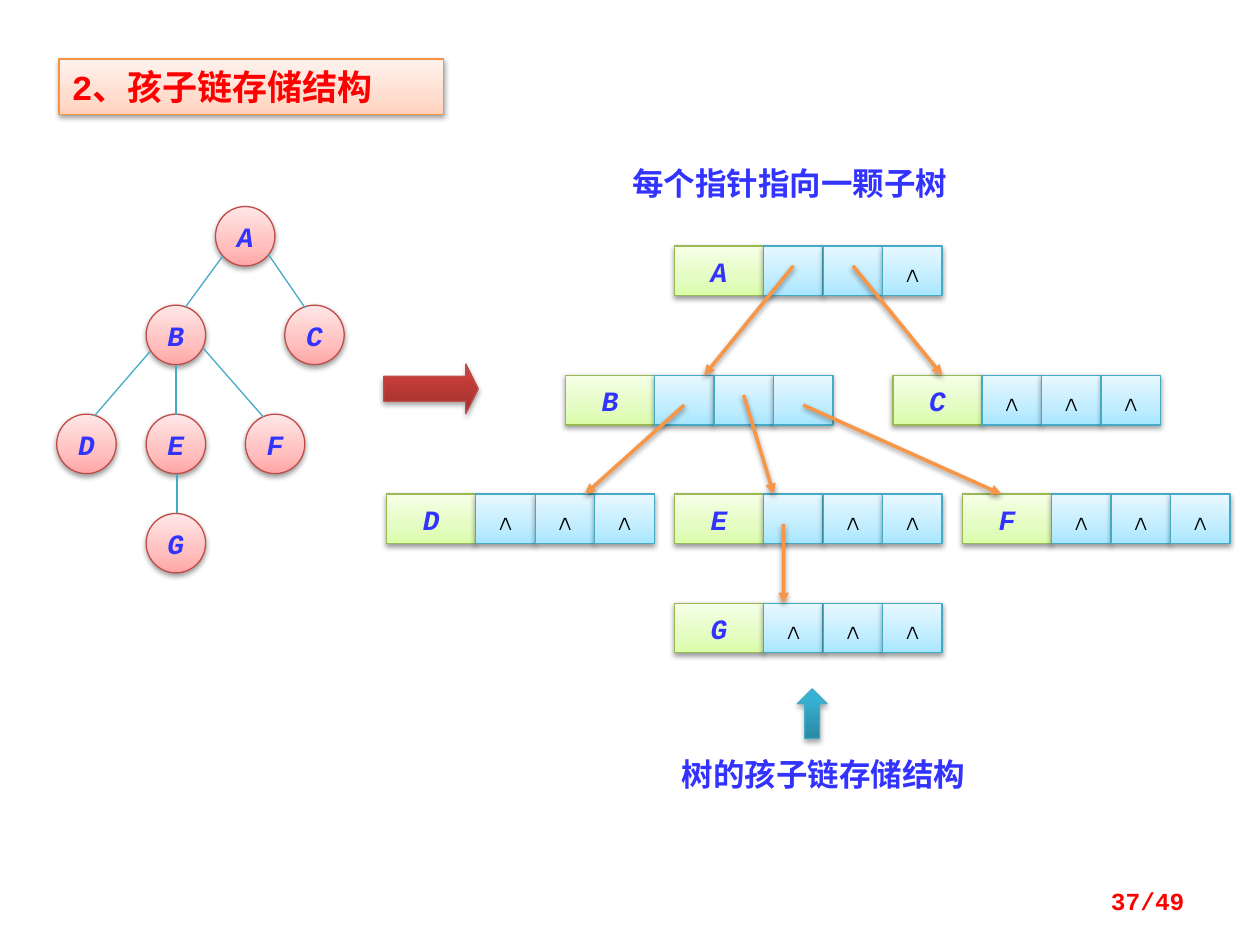
import pptx
import pptx.dml.color
import pptx.enum.shapes
import pptx.enum.text
import pptx.oxml
import pptx.oxml.ns
import pptx.util

Pt = pptx.util.Pt
RGB = pptx.dml.color.RGBColor.from_string
SHAPE = pptx.enum.shapes.MSO_SHAPE
STRAIGHT = pptx.enum.shapes.MSO_CONNECTOR.STRAIGHT
ALIGN = pptx.enum.text.PP_ALIGN
ANCHOR = pptx.enum.text.MSO_ANCHOR

BLUE, RED, BLACK = RGB("3333FF"), RGB("FF0000"), RGB("000000")
ORANGE, TEAL = RGB("F79646"), RGB("46AAC5")
LATIN, CHINESE = "Courier New", "Noto Sans CJK SC"

# Line colour, then gradient stops (percent, colour) from bottom to top
PEACH = (RGB("F69240"), [(0, "FFD2BD"), (35, "FFDED0"), (100, "FFF2ED")])
PINK = (RGB("BF4C48"), [(0, "FFA6A5"), (35, "FFC0BF"), (100, "FFE7E7")])
GREEN = (RGB("98B955"), [(0, "DAFDA7"), (35, "E4FCC2"), (100, "F5FFE7")])
SKY = (TEAL, [(0, "A7E6FF"), (35, "C1EDFF"), (100, "E7F8FF")])
CRIMSON = (RGB("BF4C48"), [(0, "9C2F2D"), (80, "CB3E3A"), (100, "CE3B37")])
OCEAN = (TEAL, [(0, "2A88A2"), (80, "37B1D2"), (100, "34B4D6")])

NODE = 34
TREE_NODES = {
    "A": (123.1, 118), "B": (83.5, 174.4), "C": (162.7, 174.4),
    "D": (32.4, 236.7), "E": (83.5, 236.7), "F": (140.2, 236.7), "G": (83.5, 293.4),
}
TREE_EDGES = [
    (127.4, 146.2, 105.8, 175.7), (153.4, 145.4, 174.2, 175.7),
    (85.7, 200.9, 54, 237.6), (100.6, 208.8, 100.6, 236.9),
    (115.9, 198.7, 150.5, 238.3), (101.1, 270.7, 101.1, 293),
]

DATA_WIDTH, CELL_WIDTH, RECORD_HEIGHT, CELLS = 51, 34, 28.35, 3
RECORDS = {
    "A": (385.4, 140.6), "B": (323, 214.5), "C": (510.2, 214.5),
    "D": (220.9, 282.4), "E": (385.4, 282.4), "F": (549.9, 282.4), "G": (385.4, 344.7),
}
# (parent, cell): child, start within the cell, landing along the child's top
POINTERS = {
    ("A", 0): ("B", (17, 11.3), 79.4), ("A", 1): ("C", (17, 11.3), 28.3),
    ("B", 0): ("D", (17, 17), 113.4), ("B", 1): ("E", (17, 11.3), 56.7),
    ("B", 2): ("F", (17, 17), 22.4), ("E", 0): ("G", (11.3, 17), 62.4),
}

CAPTIONS = [
    ("每个指针指向一颗子树", (354.2, 90, 264.2, 29), ALIGN.LEFT),
    ("树的孩子链存储结构", (354.2, 427.7, 232.6, 29), ALIGN.CENTER),
]


def add_shadow(holder, opacity=38, distance=1.6):
    shadow = pptx.oxml.parse_xml(
        f'<a:outerShdw {pptx.oxml.ns.nsdecls("a")} blurRad="{Pt(3.1)}" dist="{Pt(distance)}" '
        f'dir="5400000" rotWithShape="0"><a:srgbClr val="000000">'
        f'<a:alpha val="{opacity * 1000}"/></a:srgbClr></a:outerShdw>')
    holder.append(shadow)


def add_block(page, kind, box, style, opacity=38, distance=1.6):
    """Add a shadowed preset shape with a vertical gradient."""
    block = page.shapes.add_shape(kind, *map(Pt, box))
    line_colour, stops = style
    block.fill.gradient()
    block.fill.gradient_angle = 90
    block.line.color.rgb = line_colour
    block.line.width = Pt(0.75)
    block.shadow.inherit = False
    properties = block._element.spPr
    stop_list = properties.find(".//" + pptx.oxml.ns.qn("a:gsLst"))
    for stop in list(stop_list):
        stop_list.remove(stop)
    for percent, colour in stops:
        stop_list.append(pptx.oxml.parse_xml(
            f'<a:gs {pptx.oxml.ns.nsdecls("a")} pos="{percent * 1000}">'
            f'<a:srgbClr val="{colour}"/></a:gs>'))
    add_shadow(properties.find(pptx.oxml.ns.qn("a:effectLst")), opacity, distance)
    return block


def write(shape, text, size, colour, font=LATIN, align=ALIGN.CENTER,
          anchor=ANCHOR.MIDDLE, italic=False, wrap=True, chinese=False):
    frame = shape.text_frame
    frame.text = text
    frame.word_wrap = wrap
    frame.vertical_anchor = anchor
    paragraph = frame.paragraphs[0]
    paragraph.alignment = align
    span = paragraph.runs[0]
    span.font.name = font
    span.font.size = Pt(size)
    span.font.bold = True
    span.font.italic = italic
    span.font.color.rgb = colour
    if chinese:
        span._r.get_or_add_rPr().append(pptx.oxml.parse_xml(
            f'<a:ea {pptx.oxml.ns.nsdecls("a")} typeface="{CHINESE}"/>'))


def add_line(page, ends, colour, width, arrow=False):
    line = page.shapes.add_connector(STRAIGHT, *map(Pt, ends))
    line.line.color.rgb = colour
    line.line.width = Pt(width)
    if arrow:
        line.line._get_or_add_ln().append(pptx.oxml.parse_xml(
            f'<a:tailEnd {pptx.oxml.ns.nsdecls("a")} type="triangle"/>'))
    effects = pptx.oxml.parse_xml(f'<a:effectLst {pptx.oxml.ns.nsdecls("a")}/>')
    line._element.spPr.append(effects)
    if arrow:
        add_shadow(effects)


def cell_left(name, cell):
    return RECORDS[name][0] + DATA_WIDTH + cell * CELL_WIDTH


def draw_tree(page):
    for name, (left, top) in TREE_NODES.items():
        node = add_block(page, SHAPE.OVAL, (left, top, NODE, NODE), PINK)
        write(node, name, 16, BLUE, italic=True, wrap=False)
    for ends in TREE_EDGES:
        add_line(page, ends, TEAL, 0.75)


def draw_records(page):
    for name, (left, top) in RECORDS.items():
        data = add_block(page, SHAPE.RECTANGLE, (left, top, DATA_WIDTH, RECORD_HEIGHT), GREEN)
        write(data, name, 16, BLUE, italic=True, wrap=False)
        for cell in range(CELLS):
            box = (cell_left(name, cell), top, CELL_WIDTH, RECORD_HEIGHT)
            pointer = add_block(page, SHAPE.RECTANGLE, box, SKY)
            if (name, cell) not in POINTERS:
                write(pointer, "∧", 16, BLACK, wrap=False)
    for (parent, cell), (child, (across, down), landing) in POINTERS.items():
        child_left, child_top = RECORDS[child]
        ends = (cell_left(parent, cell) + across, RECORDS[parent][1] + down,
                child_left + landing, child_top)
        add_line(page, ends, ORANGE, 2, arrow=True)


def main():
    deck = pptx.Presentation()
    deck.slide_width, deck.slide_height = Pt(720), Pt(540)
    page = deck.slides.add_slide(deck.slide_layouts[6])

    title = add_block(page, SHAPE.RECTANGLE, (33.8, 33.8, 219.6, 31.5), PEACH)
    write(title, "2、孩子链存储结构", 20, RED, align=ALIGN.LEFT, anchor=ANCHOR.TOP, chinese=True)

    draw_tree(page)
    becomes = add_block(page, SHAPE.RIGHT_ARROW, (219.3, 208, 54, 28.35), CRIMSON, 35, 1.8)
    becomes.adjustments[0], becomes.adjustments[1] = 0.5, 0.25
    draw_records(page)

    for text, box, align in CAPTIONS:
        caption = page.shapes.add_textbox(*map(Pt, box))
        write(caption, text, 18, BLUE, CHINESE, align, ANCHOR.TOP, chinese=True)
    add_block(page, SHAPE.UP_ARROW, (455.6, 393.7, 17, 28.35), OCEAN, 35, 1.8)

    number = page.shapes.add_textbox(Pt(516), Pt(500.5), Pt(168), Pt(28.75))
    write(number, "37/49", 14, RED, align=ALIGN.RIGHT)
    deck.save("out.pptx")


if __name__ == "__main__":
    main()
